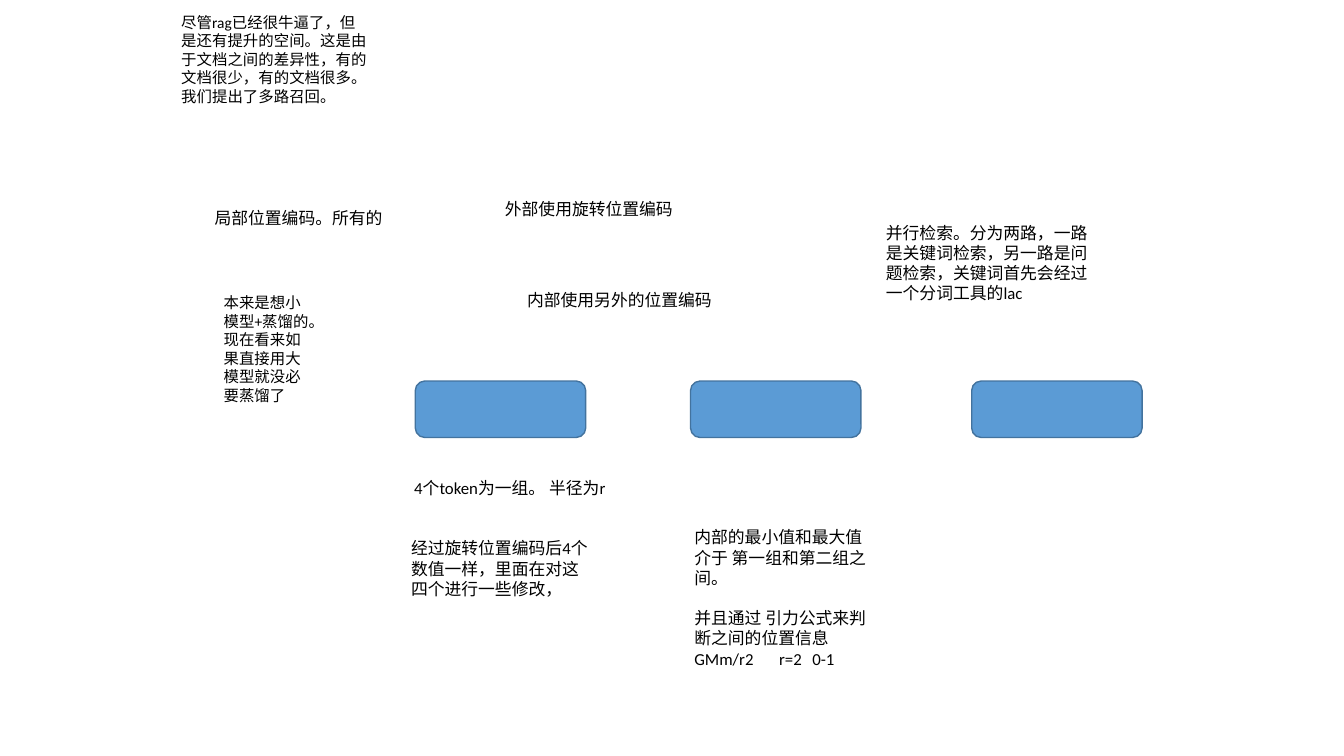
"""Build a slide of working notes on retrieval and position encoding."""
from lxml import etree
from pptx import Presentation
from pptx.dml.color import RGBColor
from pptx.enum.shapes import MSO_SHAPE
from pptx.enum.text import MSO_AUTO_SIZE
from pptx.oxml.ns import qn
from pptx.util import Inches, Pt

ROUNDED = MSO_SHAPE.ROUNDED_RECTANGLE
GROW = MSO_AUTO_SIZE.SHAPE_TO_FIT_TEXT
BLACK = RGBColor(0x00, 0x00, 0x00)
BLUE = RGBColor(0x5B, 0x9B, 0xD5)
DARK_BLUE = RGBColor(0x43, 0x73, 0x9E)
FONT = "Calibri"
SLIDE_WIDTH, SLIDE_HEIGHT = Inches(13.33), Inches(7.5)
COLUMN, ROW = SLIDE_WIDTH / 100, SLIDE_HEIGHT / 100
PARAGRAPH_GAP = Pt(14.5)
FORMULA_TABS = (Inches(0.84), Inches(1.17))

STEP_LEFTS = (30.9, 51.38, 72.3)
STEP_TOP, STEP_WIDTH, STEP_HEIGHT = 50.4, 12.68, 7.47

RETRIEVAL_NOTES = [
    ((12.75, 1.07, 15.53, 13.73), 11,
     ["尽管rag已经很牛逼了，但是还有提升的空间。这是由于文档之间的差异性，"
      "有的文档很少，有的文档很多。我们提出了多路召回。"]),
    ((15.9, 38.13, 8.03, 16.13), 11,
     ["本来是想小模型+蒸馏的。现在看来如果直接用大模型就没必要蒸馏了"]),
    ((65.18, 28.8, 16.73, 12.13), 12,
     ["并行检索。分为两路，一路是关键词检索，另一路是问题检索，"
      "关键词首先会经过一个分词工具的lac"]),
]
ENCODING_NOTES = [
    ((15.23, 26.8, 14.1, 4), 12, ["局部位置编码。所有的"]),
    ((36.83, 25.6, 23.1, 4), 12, ["外部使用旋转位置编码"]),
    ((38.48, 37.73, 26.1, 4), 12, ["内部使用另外的位置编码"]),
    ((30.08, 62.53, 15.83, 4), 12, ["4个token为一组。 半径为r"]),
    ((29.85, 70.53, 14.78, 9.47), 12,
     ["经过旋转位置编码后4个数值一样，里面在对这四个进行一些修改，"]),
    ((50.93, 69.07, 15.15, 20.13), 12,
     ["内部的最小值和最大值介于 第一组和第二组之间。",
      "并且通过 引力公式来判断之间的位置信息 GMm/r2\tr=2\t0-1"]),
]


def place(box):
    """Turn a box in grid columns and rows into slide lengths."""
    left, top, width, height = box
    return (round(left * COLUMN), round(top * ROW),
            round(width * COLUMN), round(height * ROW))


def set_tabs(paragraph, positions):
    """Give a paragraph left-aligned tab stops."""
    properties = paragraph._p.get_or_add_pPr()
    tab_list = etree.Element(qn("a:tabLst"))
    for position in positions:
        etree.SubElement(tab_list, qn("a:tab"), pos=str(position), algn="l")
    defaults = properties.find(qn("a:defRPr"))
    defaults.addprevious(tab_list)


def add_note(slide, box, size, texts):
    """Write the paragraphs of one note in its box."""
    frame = slide.shapes.add_textbox(*place(box)).text_frame
    frame.word_wrap = True
    frame.auto_size = GROW
    for index, text in enumerate(texts):
        paragraph = frame.add_paragraph() if index else frame.paragraphs[0]
        paragraph.text = text
        paragraph.font.name = FONT
        paragraph.font.size = Pt(size)
        paragraph.font.color.rgb = BLACK
        if index:
            paragraph.space_before = PARAGRAPH_GAP
        if "\t" in text:
            set_tabs(paragraph, FORMULA_TABS)


def add_step(slide, box):
    """Draw one empty rounded step in its box."""
    step = slide.shapes.add_shape(ROUNDED, *place(box))
    step.shadow.inherit = False
    step.fill.solid()
    step.fill.fore_color.rgb = BLUE
    step.line.color.rgb = DARK_BLUE
    step.line.width = Pt(1)


def main():
    """Build and save the presentation."""
    presentation = Presentation()
    presentation.slide_width = SLIDE_WIDTH
    presentation.slide_height = SLIDE_HEIGHT
    slide = presentation.slides.add_slide(presentation.slide_layouts[6])
    for left in STEP_LEFTS:
        add_step(slide, (left, STEP_TOP, STEP_WIDTH, STEP_HEIGHT))
    for box, size, texts in ENCODING_NOTES + RETRIEVAL_NOTES:
        add_note(slide, box, size, texts)
    presentation.save("out.pptx")


if __name__ == "__main__":
    main()
